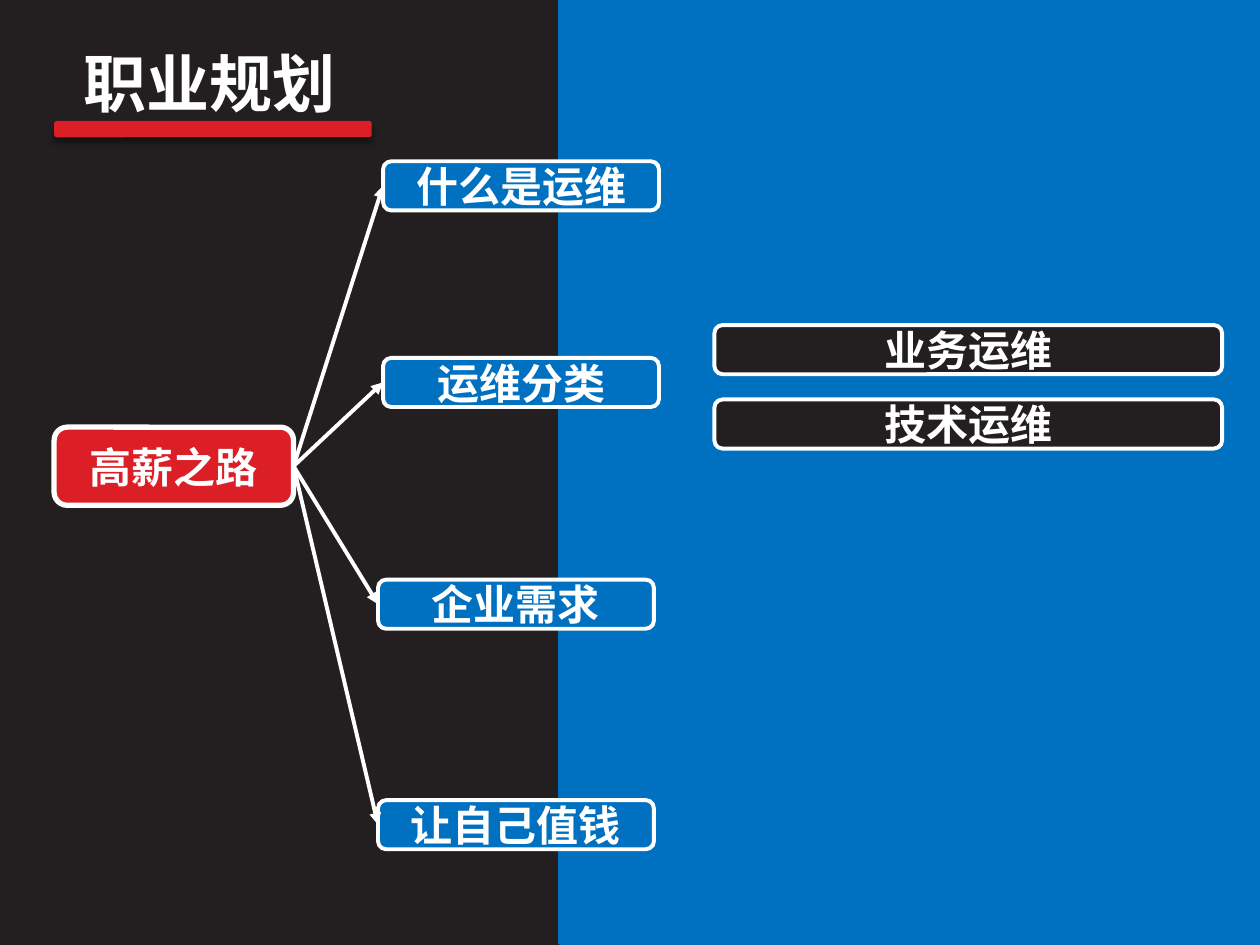
"""Builds a career-planning slide: one root box with arrows to four topics."""
from dataclasses import dataclass
from typing import Any, Optional

from lxml.etree import SubElement
from pptx import Presentation
from pptx.dml.color import RGBColor as Rgb
from pptx.enum.shapes import MSO_CONNECTOR as Link, MSO_SHAPE as Form
from pptx.enum.text import MSO_ANCHOR as Anchor, PP_ALIGN as Align
from pptx.oxml.ns import qn
from pptx.util import Inches, Pt


@dataclass(frozen=True)
class Theme:
    dark: str = "231F20"
    blue: str = "0070C0"
    red: str = "DC1F26"
    white: str = "FFFFFF"
    black: str = "000000"
    face: str = "Noto Sans CJK JP"
    head: int = 36
    body: int = 24
    thick: float = 3
    thin: float = 2.25


@dataclass(frozen=True)
class Box:
    col: float
    row: float
    wide: float
    high: float
    fill: Optional[str] = None
    text: str = ""
    edge: Optional[str] = None
    line: float = 0
    form: Form = Form.ROUNDED_RECTANGLE


LOOK = Theme()
COLS, ROWS = 100, 75
WIDE, HIGH = Inches(10), Inches(7.5)
LEFT, RIGHT = 1, 3


def place(box: Box) -> tuple[int, ...]:
    """Turns grid columns and rows into slide lengths."""
    return (int(WIDE * box.col / COLS), int(HIGH * box.row / ROWS),
            int(WIDE * box.wide / COLS), int(HIGH * box.high / ROWS))


def write(shape: Any, text: str, size: int, anchor: Anchor) -> None:
    """Sets one bold, centred line of white text."""
    frame = shape.text_frame
    frame.word_wrap, frame.vertical_anchor = True, anchor
    para = frame.paragraphs[0]
    para.alignment = Align.CENTER
    run = para.add_run()
    run.text = text
    style = {"size": Pt(size), "bold": True, "name": LOOK.face}
    for key, value in style.items():
        setattr(run.font, key, value)
    run.font.color.rgb = Rgb.from_string(LOOK.white)
    SubElement(run.font._element, qn("a:ea"), typeface=LOOK.face)


def draw(shapes: Any, box: Box) -> Any:
    """Adds a filled box with its edge and text."""
    shape = shapes.add_shape(box.form, *place(box))
    shape.shadow.inherit = False
    shape.fill.solid()
    shape.fill.fore_color.rgb = Rgb.from_string(box.fill)
    if box.edge:
        shape.line.color.rgb = Rgb.from_string(box.edge)
        shape.line.width = Pt(box.line)
    else:
        shape.line.fill.background()
    if box.text:
        write(shape, box.text, LOOK.body, Anchor.MIDDLE)
    return shape


def label(col: float, row: float, wide: float, fill: str, text: str) -> Box:
    """Describes a thin-edged box of the common height."""
    return Box(col, row, wide, 3.9, fill, text, LOOK.white, LOOK.thin)


def shade(shape: Any) -> None:
    """Gives a shape a soft shadow straight below it."""
    glow = shape._element.spPr.find(qn("a:effectLst"))
    drop = SubElement(glow, qn("a:outerShdw"), blurRad=str(Pt(4)),
                      dist=str(Pt(3)), dir="5400000", rotWithShape="0")
    tint = SubElement(drop, qn("a:srgbClr"), val=LOOK.black)
    SubElement(tint, qn("a:alpha"), val="43000")


def join(shapes: Any, root: Any, leaf: Any) -> None:
    """Links two boxes with an arrow from right side to left side."""
    arrow = shapes.add_connector(Link.STRAIGHT, 0, 0, 0, 0)
    arrow.begin_connect(root, RIGHT)
    arrow.end_connect(leaf, LEFT)
    arrow.line.color.rgb = Rgb.from_string(LOOK.white)
    arrow.line.width = Pt(LOOK.thin)
    props = arrow._element.spPr
    SubElement(props.get_or_add_ln(), qn("a:tailEnd"), type="triangle")
    SubElement(props, qn("a:effectLst"))


PANEL = Box(44.5, 0, 55.5, 74.8, LOOK.blue, "", LOOK.blue, LOOK.thick, Form.RECTANGLE)
TITLE = Box(2.8, 3, 27.7, 7.1, text="职业规划")
BAR = Box(4.3, 9.6, 25.2, 1.3, LOOK.red)
ROOT = Box(4.3, 33.9, 19, 6.2, LOOK.red, "高薪之路", LOOK.white, LOOK.thick)
TOPICS = [label(col, row, 21.9, LOOK.blue, text) for col, row, text in (
    (30.4, 12.8, "什么是运维"), (30.4, 28.4, "运维分类"),
    (30, 46, "企业需求"), (30, 63.5, "让自己值钱"))]
KINDS = [label(56.7, 25.8 + 5.9 * rank, 40.3, LOOK.dark, text)
         for rank, text in enumerate(("业务运维", "技术运维"))]


def main() -> None:
    """Builds and saves the slide."""
    deck = Presentation()
    deck.slide_width, deck.slide_height = WIDE, HIGH
    slide = deck.slides.add_slide(deck.slide_layouts[6])
    slide.background.fill.solid()
    slide.background.fill.fore_color.rgb = Rgb.from_string(LOOK.dark)
    shapes = slide.shapes
    draw(shapes, PANEL)
    group = shapes.add_group_shape().shapes
    write(group.add_textbox(*place(TITLE)), TITLE.text, LOOK.head, Anchor.TOP)
    shade(draw(group, BAR))
    root = draw(shapes, ROOT)
    for topic in TOPICS:
        join(shapes, root, draw(shapes, topic))
    for kind in KINDS:
        draw(shapes, kind)
    deck.save("out.pptx")


if __name__ == "__main__":
    main()
